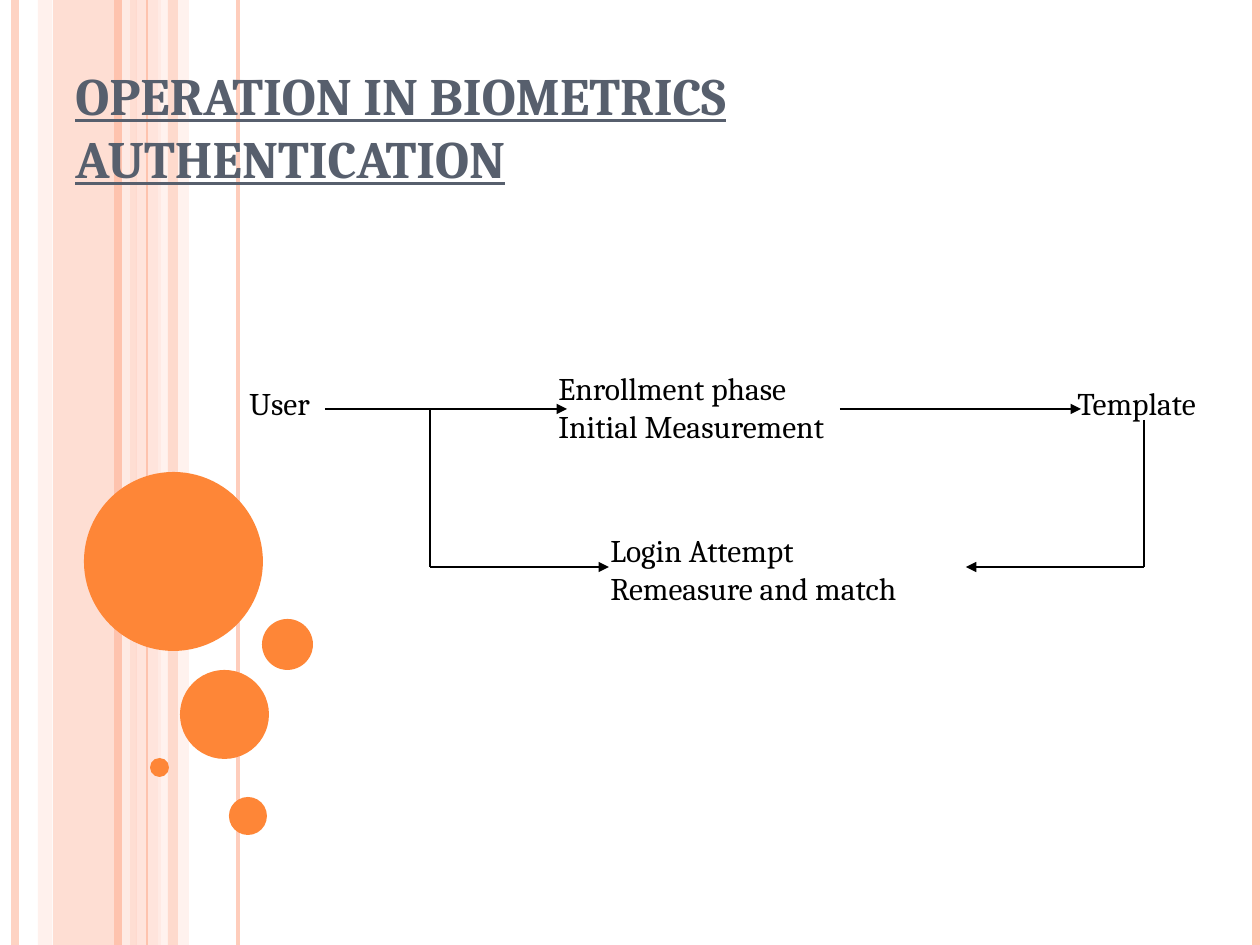
import lxml.etree
import pptx
import pptx.util
import pptx.dml.color
import pptx.enum.shapes
import pptx.enum.text
import pptx.oxml.ns

RGB = pptx.dml.color.RGBColor
SHAPE = pptx.enum.shapes.MSO_SHAPE
ANCHOR = pptx.enum.text.MSO_ANCHOR
FIT = pptx.enum.text.MSO_AUTO_SIZE

PEACH = RGB(0xFE, 0xC3, 0xAE)
PINK = RGB(0xFF, 0xD9, 0xCE)
PALE = RGB(0xFF, 0xED, 0xE8)
ORANGE = RGB(0xFE, 0x86, 0x37)
SLATE = RGB(0x57, 0x5F, 0x6D)
BLACK = RGB(0, 0, 0)

FONT = "Cambria"
WIDE, HIGH = 1260, 945
SCALE = 914400 / 126

# left, width, colour, opacity in percent
BANDS = [(53, 84, PEACH, 54), (38, 14, PINK, 36),
         (136, 25, PINK, 70), (158, 31, PALE, 71)]
# x, weight in points, colour, opacity in percent
STRIPES = [(15, 4.5, PEACH, 73), (126, 4.5, PALE, 83), (118, 4.5, PEACH, 100),
           (238, 2.25, PEACH, 82), (147, 0.75, PEACH, 100),
           (1256, 4.5, PEACH, 100)]
# left, top, diameter
DOTS = [(84, 472, 179), (180, 670, 89), (150, 758, 19),
        (229, 797, 38), (262, 619, 51)]
# left, top, width, height, lines
LABELS = [(237, 378, 94, 50, ["User"]),
          (1065, 378, 164, 50, ["Template"]),
          (546, 363, 328, 88, ["Enrollment phase", "Initial Measurement"]),
          (598, 525, 352, 88, ["Login Attempt", "Remeasure and match"])]
# start, end, has an arrowhead at the end
FLOWS = [((325, 409), (567, 409), True), ((840, 409), (1081, 409), True),
         ((430, 409), (430, 567), False), ((430, 567), (609, 567), True),
         ((1144, 420), (1144, 567), False), ((1144, 567), (966, 567), True)]


def px(n):
    return round(n * SCALE)


def add_tag(node, tag, **attrs):
    lxml.etree.SubElement(node, pptx.oxml.ns.qn(tag), attrs)


def fade(fill, pct):
    """Set the opacity of a solid fill."""
    if pct < 100:
        tone = fill._xPr.find(".//" + pptx.oxml.ns.qn("a:srgbClr"))
        add_tag(tone, "a:alpha", val=str(pct * 1000))


def add_fill(slide, kind, box, color, pct=100):
    shape = slide.shapes.add_shape(kind, *map(px, box))
    shape.shadow.inherit = False
    shape.fill.solid()
    shape.fill.fore_color.rgb = color
    fade(shape.fill, pct)
    shape.line.fill.background()


def add_line(slide, start, end, color, weight, pct=100, arrow=False):
    line = slide.shapes.add_connector(
        pptx.enum.shapes.MSO_CONNECTOR.STRAIGHT, *map(px, start + end))
    line.line.width = pptx.util.Pt(weight)
    line.line.color.rgb = color
    fade(line.line.fill, pct)
    if arrow:
        add_tag(line.line._ln, "a:tailEnd", type="triangle")
    add_tag(line._element.spPr, "a:effectLst")


def add_text(slide, box, lines, size, color, title=False):
    frame = slide.shapes.add_textbox(*map(px, box)).text_frame
    frame.word_wrap = title
    frame.auto_size = FIT.NONE if title else FIT.SHAPE_TO_FIT_TEXT
    frame.vertical_anchor = ANCHOR.BOTTOM if title else ANCHOR.TOP
    frame.text = "\n".join(lines)
    for para in frame.paragraphs:
        font = para.font
        font.name = FONT
        font.size = pptx.util.Pt(size)
        font.color.rgb = color
        font.bold = font.underline = title


def main():
    deck = pptx.Presentation()
    deck.slide_width, deck.slide_height = px(WIDE), px(HIGH)
    slide = deck.slides.add_slide(deck.slide_layouts[6])

    for left, width, color, pct in BANDS:
        add_fill(slide, SHAPE.RECTANGLE, (left, 0, width, HIGH), color, pct)
    for x, weight, color, pct in STRIPES:
        add_line(slide, (x, 0), (x, HIGH), color, weight, pct)
    add_fill(slide, SHAPE.RECTANGLE, (168, 0, 10, HIGH), PEACH, 51)
    for left, top, size in DOTS:
        add_fill(slide, SHAPE.OVAL, (left, top, size, size), ORANGE)

    add_text(slide, (63, 38, 1029, 157),
             ["OPERATION IN BIOMETRICS AUTHENTICATION"], 30, SLATE, True)
    for *box, lines in LABELS:
        add_text(slide, box, lines, 18, BLACK)
    for start, end, arrow in FLOWS:
        add_line(slide, start, end, BLACK, 0.75, arrow=arrow)

    deck.save("out.pptx")


if __name__ == "__main__":
    main()
